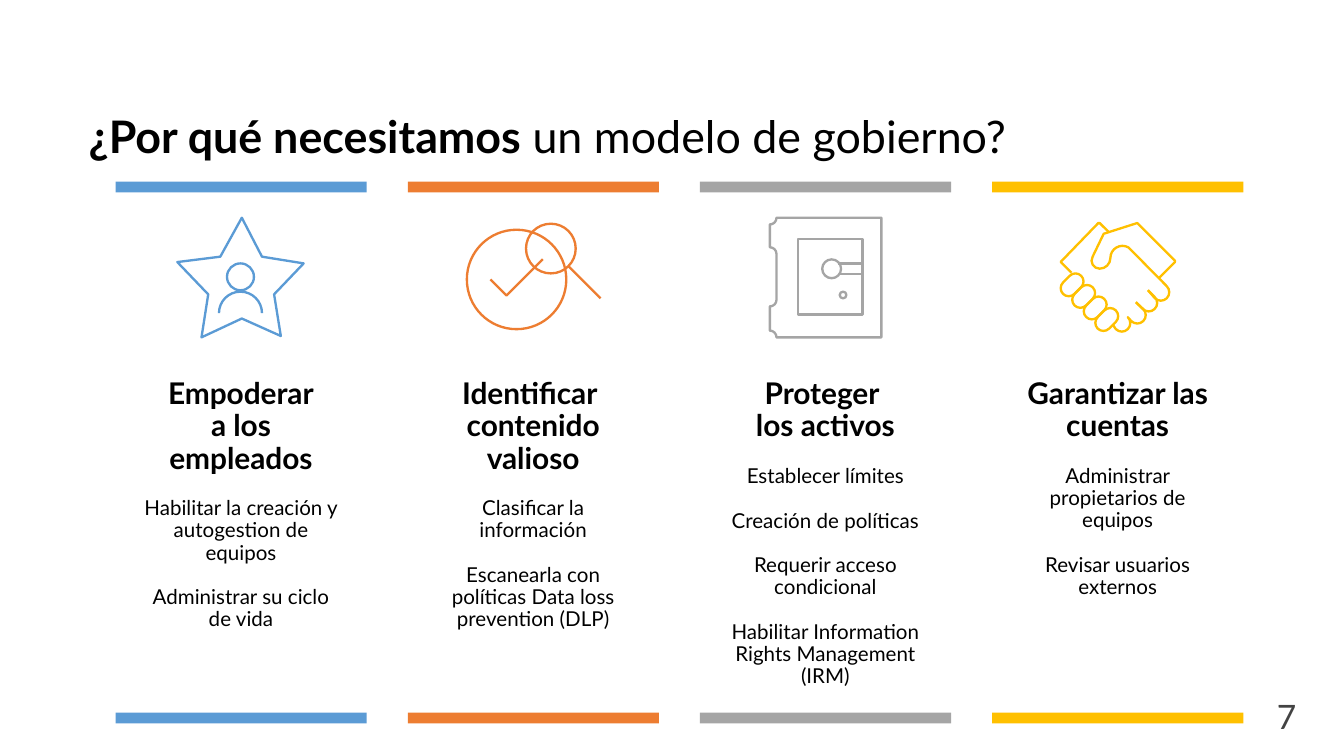
from math import cos, pi, radians, sin, tan

from pptx import Presentation
from pptx.dml.color import RGBColor
from pptx.enum import shapes, text
from pptx.oxml.ns import qn
from pptx.util import Pt

FONT = "Lato"
GRID = 0.72  # points per step of the icon grid
LEFT, STEP, WIDE = 61.9, 156.55, 134.5
ICON_TOP = 115.2

COLS = [
    ("5B9BD5", "Empoderar\va los empleados",
     ["Habilitar la creación y autogestion de equipos",
      "Administrar su ciclo de vida"]),
    ("ED7D31", "Identificar \vcontenido valioso",
     ["Clasificar la información",
      "Escanearla con políticas Data loss prevention (DLP)"]),
    ("A5A5A5", "Proteger \vlos activos",
     ["Establecer límites", "Creación de políticas",
      "Requerir acceso condicional",
      "Habilitar Information Rights Management (IRM)"]),
    ("FFC000", "Garantizar las cuentas",
     ["Administrar propietarios de equipos", "Revisar usuarios externos"]),
]


def color(code):
    return RGBColor.from_string(code)


def style(obj, **vals):
    for key, val in vals.items():
        setattr(obj, key, val)


def arc(x, y, r, start=0, end=360):
    """Bezier points of an arc, clockwise from the right; True marks a curve."""
    count = max(1, round(abs(end - start) / 90))
    turn = radians(end - start) / count
    pull = 4 / 3 * tan(turn / 4)

    def spot(t, k=0):
        return x + r * (cos(t) - k * sin(t)), y + r * (sin(t) + k * cos(t))

    points = [spot(radians(start))]
    for i in range(count):
        a = radians(start) + i * turn
        b = a + turn
        points += [(*spot(a, pull), True), (*spot(b, -pull), True), (*spot(b), True)]
    return points


def loop(points):
    return points + points[:1]


def pill(x, y):
    """A slanted rounded finger with its lower end centred on x, y."""
    return loop(arc(x, y, 6, 45, 225) + arc(x + 5, y - 5, 6, 225, 405))


def star():
    rim = [(78, 31), (94, 2), (109, 31), (140, 36), (118, 59),
           (123, 90), (94, 77), (64, 91), (69, 59), (46, 35)]
    return [[loop(rim), arc(93, 46, 10), arc(93, 73, 16, 180, 360)]]


def search():
    lens = [arc(106.5, 25, 18.5), [(143.5, 62), (119.5, 38)]]
    check = [arc(81, 48, 37), [(61.5, 48), (73.5, 60), (100.5, 33)]]
    return [lens, check]


def safe():
    rim = [(135, 2), (135, 91)]
    for y, start, end in [(91, 0, -90), (63, 90, 0), (29, 0, -90), (2, 90, 0)]:
        rim += arc(52, y, 5, start, end)
    door = [(121, 18), (73, 18), (73, 74), (121, 74)]
    bars = [[(103, 36), (121, 36)], [(104, 44), (121, 44)]]
    return [[loop(rim), loop(door), arc(98, 40, 7), arc(106.5, 59.5, 2.5), *bars]]


def hands():
    cuff = [(59, 43), (51, 35), (79, 6), (80, 6), (87, 13)]
    pills = [pill(57 + 8.6 * i, 54.5 + 8.6 * i) for i in range(4)]
    upper = [(107, 65), *arc(116.5, 65.5, 6.3, 135, -45), (116, 56)]
    lower = [(90, 82), *arc(96.5, 80.5, 6.3, 135, -45),
             *arc(108, 74.5, 6.3, 135, -45), (107, 65)]
    thumb = arc(80, 34, 6, 210, 90) + arc(80, 32, 8, 90, 0) + arc(97, 32, 9, 180, 300)
    palm = [(124, 47), (136, 35), (136, 34), (108, 6), (83, 14), *thumb,
            *arc(125.5, 57.5, 6.3, -45, 135), (116, 56)]
    return [[cuff, *pills, upper, lower, palm]]


def bend(icon, marks):
    """Turn each three marked line segments into one Bezier curve."""
    nodes = list(icon._element.iter(qn("a:lnTo")))
    curved = [node for node, mark in zip(nodes, marks) if mark]
    for i in range(0, len(curved), 3):
        first, *rest = curved[i:i + 3]
        first.tag = qn("a:cubicBezTo")
        for node in rest:
            first.append(node[0])
            node.getparent().remove(node)


def draw(group, lines, left, code):
    """Draw a list of open or closed lines as one outline shape."""
    marks = [len(point) == 3 for line in lines for point in line[1:]]
    lines = [[(Pt(p[0] * GRID), Pt(p[1] * GRID)) for p in line] for line in lines]
    pen = group.shapes.build_freeform(*lines[0][0])
    for i, line in enumerate(lines):
        if i:
            pen.move_to(*line[0])
        pen.add_line_segments(line[1:], close=line[0] == line[-1])
    icon = pen.convert_to_shape(Pt(left), Pt(ICON_TOP))
    bend(icon, marks)
    icon.shadow.inherit = False
    icon.fill.background()
    icon.line.color.rgb = color(code)
    icon.line.width = Pt(1.25)


def bar(group, left, top, code):
    rect = group.shapes.add_shape(shapes.MSO_SHAPE.RECTANGLE,
                                  Pt(left), Pt(top), Pt(WIDE), Pt(5.8))
    rect.shadow.inherit = False
    rect.fill.solid()
    rect.fill.fore_color.rgb = color(code)
    rect.line.fill.background()


def write(para, words, size, bold=False, code="000000"):
    run = para.add_run()
    run.text = words
    style(run.font, name=FONT, size=Pt(size), bold=bold)
    run.font.color.rgb = color(code)


def copy(group, left, head, items):
    box = group.shapes.add_textbox(Pt(left + 0.2), Pt(203), Pt(134), Pt(178))
    frame = box.text_frame
    style(frame, word_wrap=True, margin_left=Pt(14.4), margin_right=Pt(14.4),
          margin_top=Pt(0), margin_bottom=Pt(0))
    for i, words in enumerate([head, *items]):
        para = frame.add_paragraph() if i else frame.paragraphs[0]
        style(para, alignment=text.PP_ALIGN.CENTER, line_spacing=0.9,
              space_after=Pt(12))
        first, *rest = words.split("\v")
        size, bold = (11, False) if i else (16, True)
        write(para, first, size, bold)
        for part in rest:
            para.add_line_break()
            write(para, part, size, bold)


def column(slide, i, icon):
    code, head, items = COLS[i]
    left = LEFT + STEP * i
    group = slide.shapes.add_group_shape()
    copy(group, left, head, items)
    for lines in icon:
        draw(group, lines, left, code)
    for top in (97.3, 381.7):
        bar(group, left, top, code)


def title(slide):
    head = slide.shapes.title
    style(head, left=Pt(40.3), top=Pt(54.7), width=Pt(532.8), height=Pt(52.6))
    style(head.text_frame, word_wrap=True, auto_size=text.MSO_AUTO_SIZE.NONE,
          vertical_anchor=text.MSO_ANCHOR.TOP)
    para = head.text_frame.paragraphs[0]
    para.alignment = text.PP_ALIGN.LEFT
    write(para, "¿Por qué necesitamos", 24, True)
    write(para, " un modelo de gobierno?", 24)


def number(slide):
    box = slide.shapes.add_textbox(Pt(667.7), Pt(367.9), Pt(43.2), Pt(31))
    frame = box.text_frame
    style(frame, word_wrap=True, vertical_anchor=text.MSO_ANCHOR.MIDDLE,
          **{"margin_" + side: Pt(7.2) for side in ("left", "top", "right", "bottom")})
    para = frame.paragraphs[0]
    para.alignment = text.PP_ALIGN.CENTER
    write(para, "7", 18, code="434343")


def main():
    deck = Presentation()
    style(deck, slide_width=Pt(720), slide_height=Pt(405))
    slide = deck.slides.add_slide(deck.slide_layouts[5])
    number(slide)
    title(slide)
    for i, icon in enumerate([star(), search(), safe(), hands()]):
        column(slide, i, icon)
    deck.save("out.pptx")


if __name__ == "__main__":
    main()
